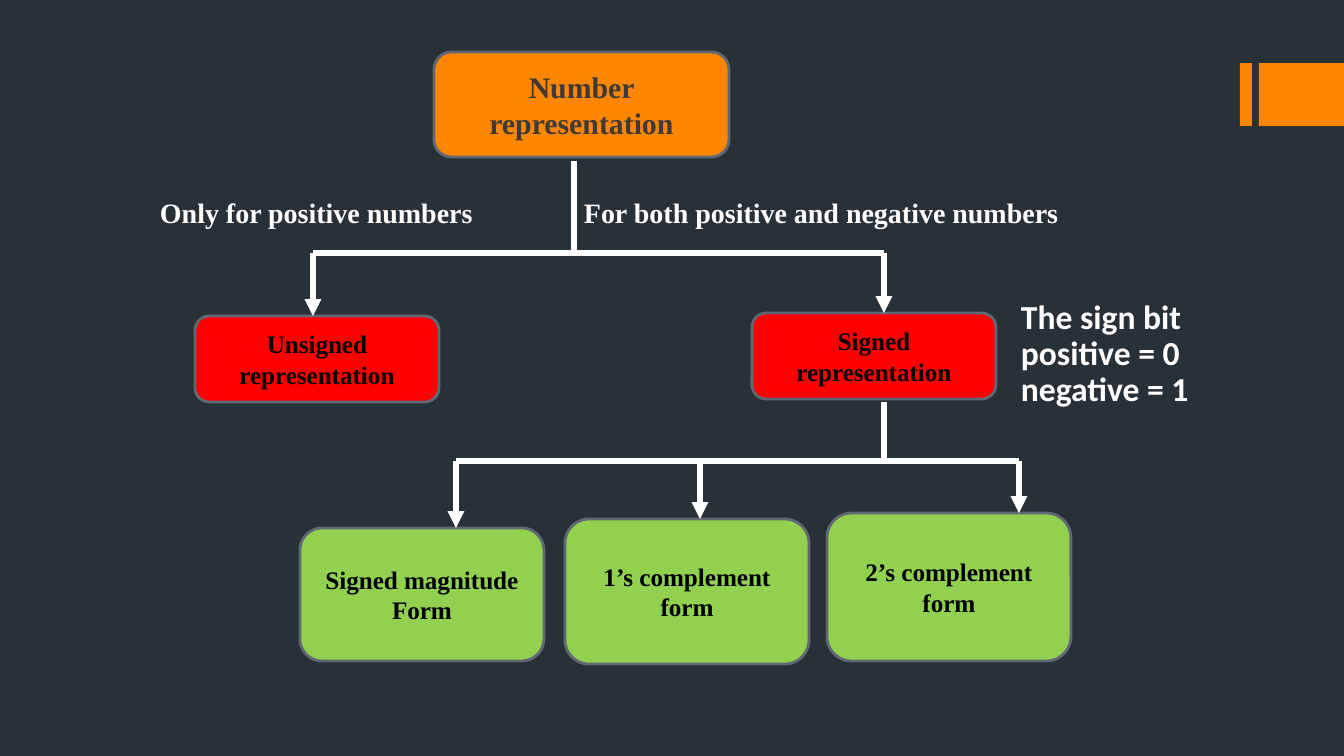
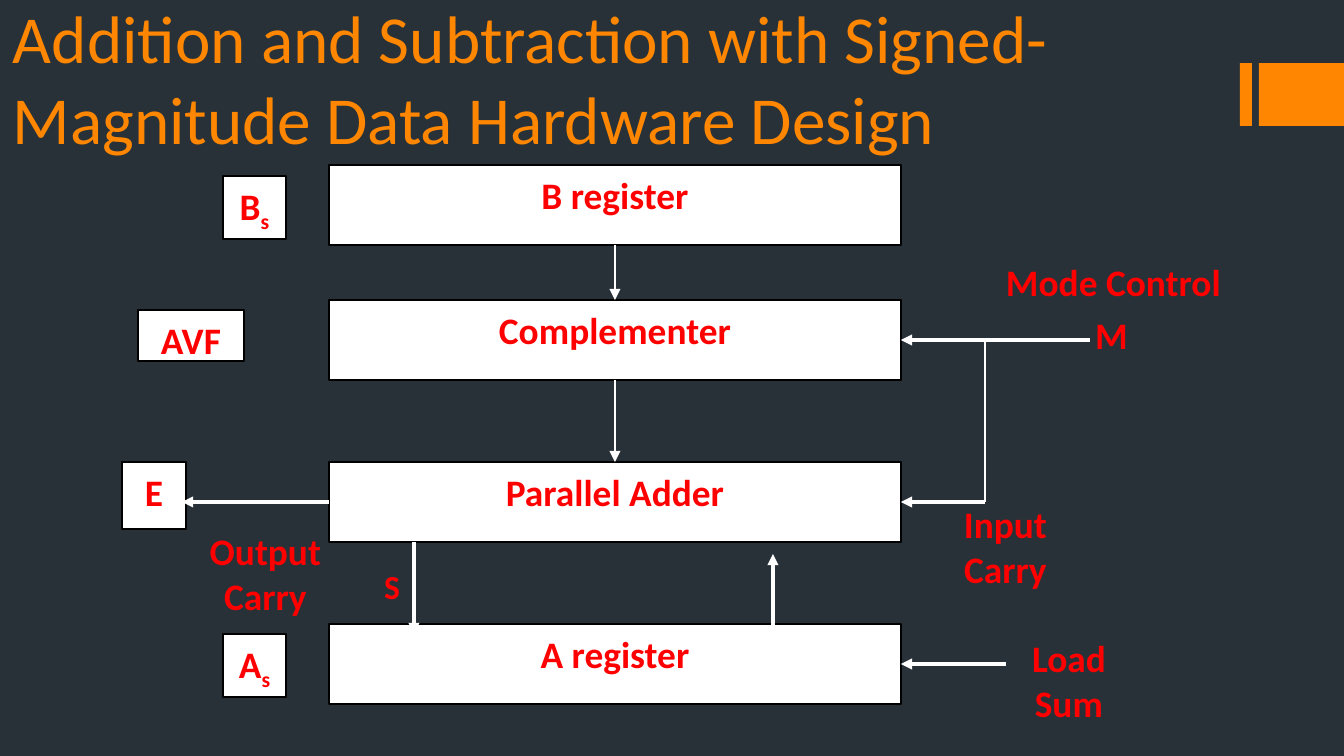
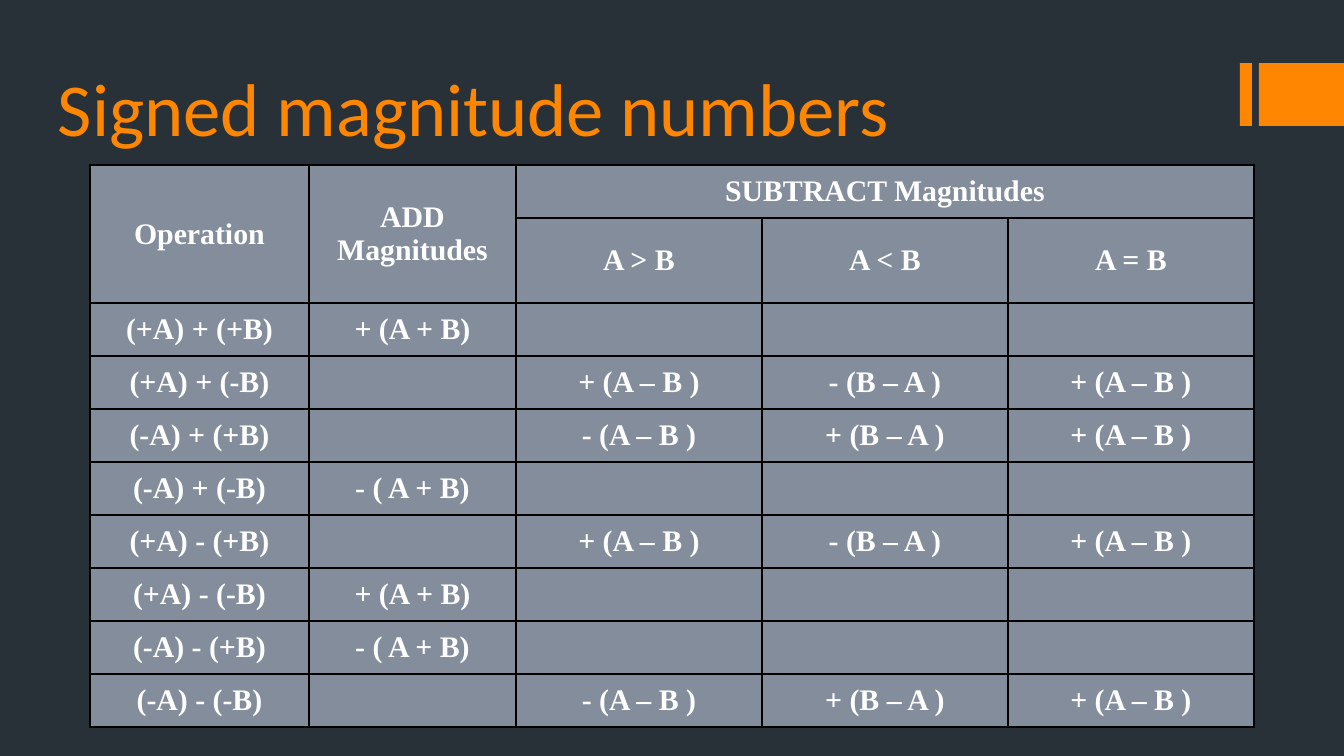
from dataclasses import dataclass

from lxml import etree
from pptx import Presentation
from pptx import util as u
from pptx.dml.color import RGBColor
from pptx.enum import shapes, text
from pptx.oxml.ns import qn

PX = 6804  # EMU in one px; the slide is 1344 x 756 px


@dataclass(frozen=True)
class Theme:
    back: str = "283138"
    accent: str = "FF8600"
    white: str = "FFFFFF"
    black: str = "000000"
    red: str = "FF0000"
    green: str = "92D050"
    root_text: str = "403935"
    outline: str = "616873"
    cell: str = "838D9B"
    sans: str = "Calibri"
    serif: str = "Times New Roman"
    title: float = 40
    long_title: float = 36
    block: float = 20
    note: float = 18
    root: float = 16
    label: float = 15
    node: float = 13.5


theme = Theme()
TOP, MIDDLE, BOTTOM = text.MSO_ANCHOR.TOP, text.MSO_ANCHOR.MIDDLE, text.MSO_ANCHOR.BOTTOM
LEFT, CENTER = text.PP_ALIGN.LEFT, text.PP_ALIGN.CENTER
PROCESS = shapes.MSO_SHAPE.FLOWCHART_PROCESS
ROUNDED = shapes.MSO_SHAPE.ROUNDED_RECTANGLE


def box(slide, frame, words, size, font, color, kind=None, fill=None, border=None,
        inset=(13, 7), anchor=TOP, align=CENTER, bold=True):
    """Add a text box, or a filled shape when kind is given."""
    place = [n * PX for n in frame]
    if kind is None:
        item = slide.shapes.add_textbox(*place)
    else:
        item = slide.shapes.add_shape(kind, *place)
        item.shadow.inherit = False
        item.fill.solid()
        item.fill.fore_color.rgb = RGBColor.from_string(fill)
        item.line.color.rgb = RGBColor.from_string(border[0])
        item.line.width = u.Pt(border[1])
    body = item.text_frame
    body.word_wrap = True
    body.vertical_anchor = anchor
    body.margin_left = body.margin_right = inset[0] * PX
    body.margin_top = body.margin_bottom = inset[1] * PX
    body.text = words
    for paragraph in body.paragraphs:
        paragraph.alignment = align
        for run in paragraph.runs:
            run.font.size = u.Pt(size)
            run.font.name = font
            run.font.bold = bold
            run.font.color.rgb = RGBColor.from_string(color)
    return item


def link(slide, ends, width, arrow=True, start=None, end=None):
    """Draw a white line; start and end are (shape, side) joints."""
    line = slide.shapes.add_connector(shapes.MSO_CONNECTOR.STRAIGHT, *[n * PX for n in ends])
    line.line.color.rgb = RGBColor.from_string(theme.white)
    line.line.width = u.Pt(width)
    if start:
        line.begin_connect(*start)
    if end:
        line.end_connect(*end)
    properties = line._element.spPr
    if arrow:
        etree.SubElement(properties.find(qn("a:ln")), qn("a:tailEnd"), type="triangle")
    etree.SubElement(properties, qn("a:effectLst"))


# Shared background and corner bands
prs = Presentation()
prs.slide_width, prs.slide_height = 1344 * PX, 756 * PX
background = prs.slide_master.background.fill
background.solid()
background.fore_color.rgb = RGBColor.from_string(theme.back)
blank = prs.slide_layouts[6]
tree, hardware, rules = [prs.slides.add_slide(blank) for _ in range(3)]
for slide in (tree, hardware, rules):
    for left, width in ((1240, 12), (1259, 85)):
        band = slide.shapes.add_shape(shapes.MSO_SHAPE.RECTANGLE, left * PX, 63 * PX, width * PX, 63 * PX)
        band.shadow.inherit = False
        band.fill.solid()
        band.fill.fore_color.rgb = RGBColor.from_string(theme.accent)
        band.line.fill.background()

# Titles
for slide, frame, words, size in (
    (hardware, (0, 38, 1075, 127),
     "Addition and Subtraction with Signed-Magnitude Data Hardware Design", theme.long_title),
    (rules, (45, 31, 1075, 127), "Signed magnitude numbers", theme.title),
):
    box(slide, frame, words, size, theme.sans, theme.accent, anchor=BOTTOM, align=LEFT, bold=False)

# Slide 1: branch labels
for left, width, words in (
    (147, 400, "Only for positive numbers"),
    (571, 520, "For both positive and negative numbers"),
):
    box(tree, (left, 189, width, 46), words, theme.label, theme.serif, theme.white,
        anchor=MIDDLE, align=LEFT)

# Slide 1: tree nodes
for frame, words, fill, size, color in (
    ((434, 52, 295, 105), "Number representation", theme.accent, theme.root, theme.root_text),
    ((195, 316, 244, 86), "Unsigned representation", theme.red, theme.node, theme.black),
    ((752, 313, 244, 86), "Signed representation", theme.red, theme.node, theme.black),
    ((300, 528, 244, 133), "Signed magnitude Form", theme.green, theme.node, theme.black),
    ((565, 519, 244, 145), "1’s complement form", theme.green, theme.node, theme.black),
    ((827, 513, 244, 148), "2’s complement form", theme.green, theme.node, theme.black),
):
    box(tree, frame, words, size, theme.serif, color, ROUNDED, fill, (theme.outline, 1.5),
        inset=(9, 5), anchor=MIDDLE)

# Slide 1: each fork is a stem, a bar and arrows down to the nodes
for stem_x, stem_top, bar_y, drops in (
    (574, 161, 253, ((313, 316), (884, 313))),
    (884, 402, 461, ((456, 528), (700, 519), (1019, 513))),
):
    link(tree, (stem_x, stem_top, stem_x, bar_y), 3, arrow=False)
    link(tree, (drops[0][0], bar_y, drops[-1][0], bar_y), 3, arrow=False)
    for drop_x, node_top in drops:
        link(tree, (drop_x, bar_y, drop_x, node_top), 3)

# Slide 1: sign bit note
sign_bit = box(tree, (1008, 293, 320, 124), "The sign bit\npositive = 0\nnegative = 1",
               theme.note, theme.sans, theme.white, align=LEFT)
for paragraph in sign_bit.text_frame.paragraphs:
    paragraph.line_spacing = 0.9

# Slide 2: registers, adder and flags
blocks = {}
for words, frame in (
    ("A register", (329, 624, 572, 80)),
    ("B register", (329, 165, 572, 80)),
    ("Complementer", (329, 300, 572, 80)),
    ("Parallel Adder", (329, 462, 572, 80)),
    ("AVF", (138, 310, 106, 51)),
    ("E", (122, 462, 64, 67)),
    ("B", (223, 176, 63, 63)),
    ("A", (223, 634, 63, 63)),
):
    blocks[words] = box(hardware, frame, words, theme.block, theme.sans, theme.red,
                        PROCESS, theme.white, (theme.black, 0.75), inset=(7, 7))

# Slide 2: subscript of the two sign flip-flops
for flag in ("A", "B"):
    paragraph = blocks[flag].text_frame.paragraphs[0]
    subscript = paragraph.add_run()
    subscript.text = "s"
    subscript.font.size = u.Pt(theme.block)
    subscript.font.name = theme.sans
    subscript.font.bold = True
    subscript.font.color.rgb = RGBColor.from_string(theme.red)
    subscript._r.get_or_add_rPr().set("baseline", "-25000")

# Slide 2: data paths
a_register, b_register = blocks["A register"], blocks["B register"]
complementer, adder = blocks["Complementer"], blocks["Parallel Adder"]
link(hardware, (615, 245, 615, 300), 1.25, start=(b_register, 2), end=(complementer, 0))
link(hardware, (615, 380, 615, 462), 1.25, start=(complementer, 2), end=(adder, 0))
link(hardware, (414, 542, 414, 634), 1.75)
link(hardware, (773, 634, 773, 554), 1.75)
link(hardware, (329, 502, 182, 502), 1.75, start=(adder, 1))
link(hardware, (1090, 340, 901, 340), 1.75, end=(complementer, 3))
link(hardware, (985, 340, 985, 502), 0.75, arrow=False)
link(hardware, (985, 502, 901, 502), 1.75, end=(adder, 3))
link(hardware, (1006, 664, 901, 664), 1.75, end=(a_register, 3))

# Slide 2: signal labels
for words, left, top, width in (
    ("Load Sum", 1006, 634, 126),
    ("M", 1090, 311, 43),
    ("Mode Control", 996, 258, 235),
    ("Input Carry", 921, 500, 169),
    ("Output Carry", 181, 527, 169),
):
    box(hardware, (left, top, width, 54), words, theme.block, theme.sans, theme.red, inset=(1, 1))
box(hardware, (371, 559, 48, 54), "S", theme.note, theme.sans, theme.red, align=LEFT)

# Slide 3: table of sign rules
ROWS = (
    ("Operation", "ADD\nMagnitudes", "SUBTRACT Magnitudes", "", ""),
    ("", "", "A > B", "A < B", "A = B"),
    ("(+A) + (+B)", "+ (A + B)", "", "", ""),
    ("(+A) + (-B)", "", "+ (A – B )", "- (B – A )", "+ (A – B )"),
    ("(-A) + (+B)", "", "- (A – B )", "+ (B – A )", "+ (A – B )"),
    ("(-A) + (-B)", "- ( A + B)", "", "", ""),
    ("(+A) - (+B)", "", "+ (A – B )", "- (B – A )", "+ (A – B )"),
    ("(+A) - (-B)", "+ (A + B)", "", "", ""),
    ("(-A) - (+B)", "- ( A + B)", "", "", ""),
    ("(-A) - (-B)", "", "- (A – B )", "+ (B – A )", "+ (A – B )"),
)
WIDTHS = (219, 207, 246, 246, 246)
HEIGHTS = (53, 58) + (53,) * 8
grid = rules.shapes.add_table(len(ROWS), len(WIDTHS), 90 * PX, 165 * PX,
                              sum(WIDTHS) * PX, sum(HEIGHTS) * PX).table
grid.first_row = grid.horz_banding = False
for column, width in zip(grid.columns, WIDTHS):
    column.width = width * PX
for row, height in zip(grid.rows, HEIGHTS):
    row.height = height * PX
for r, row in enumerate(ROWS):
    for c, words in enumerate(row):
        cell = grid.cell(r, c)
        cell.text = words
        cell.vertical_anchor = MIDDLE
        for paragraph in cell.text_frame.paragraphs:
            paragraph.alignment = CENTER
            paragraph.font.size = u.Pt(theme.root)
            for run in paragraph.runs:
                run.font.size = u.Pt(theme.root)
                run.font.name = theme.serif
                run.font.bold = True
                run.font.color.rgb = RGBColor.from_string(theme.white)
        properties = cell._tc.get_or_add_tcPr()
        for side in ("a:lnL", "a:lnR", "a:lnT", "a:lnB"):
            edge = etree.SubElement(properties, qn(side), w=str(u.Pt(1)))
            paint = etree.SubElement(edge, qn("a:solidFill"))
            etree.SubElement(paint, qn("a:srgbClr"), val=theme.black)
        cell.fill.solid()
        cell.fill.fore_color.rgb = RGBColor.from_string(theme.cell)
for first, last in (((0, 0), (1, 0)), ((0, 1), (1, 1)), ((0, 2), (0, 4))):
    grid.cell(*first).merge(grid.cell(*last))

prs.save("out.pptx")
